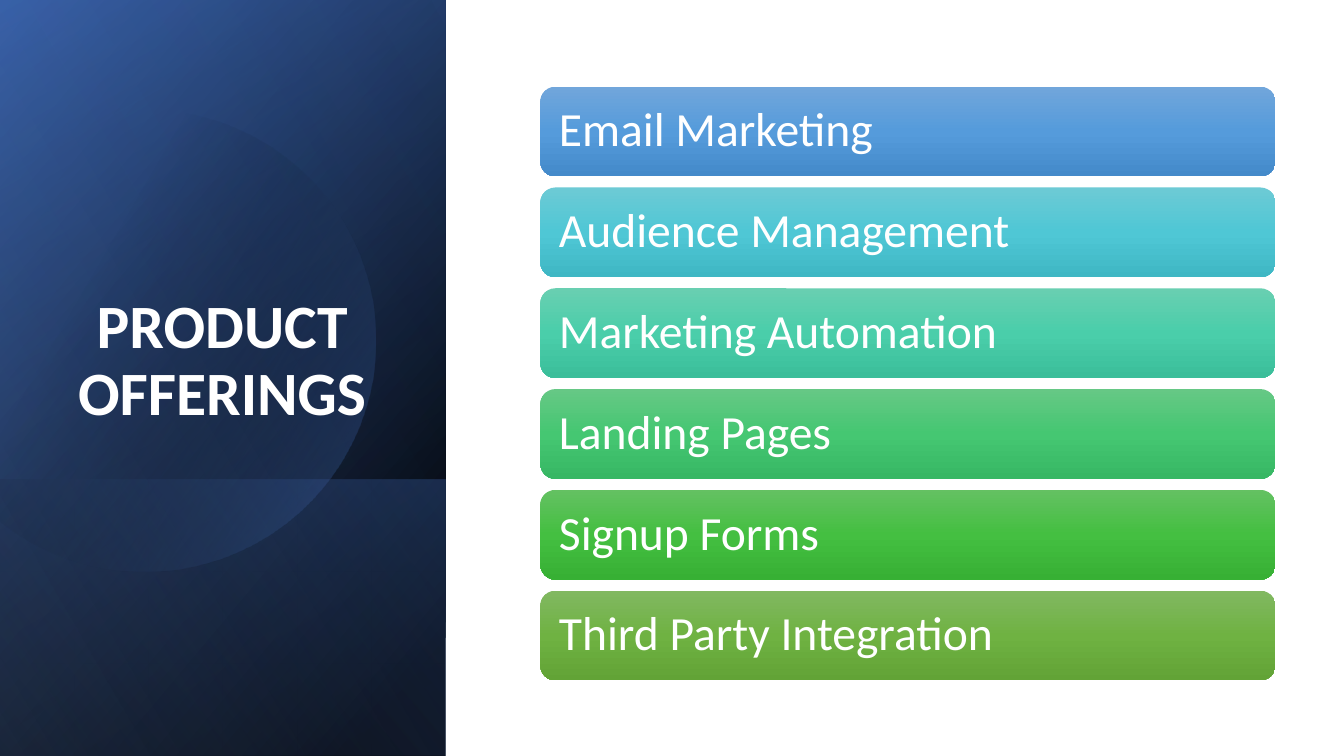
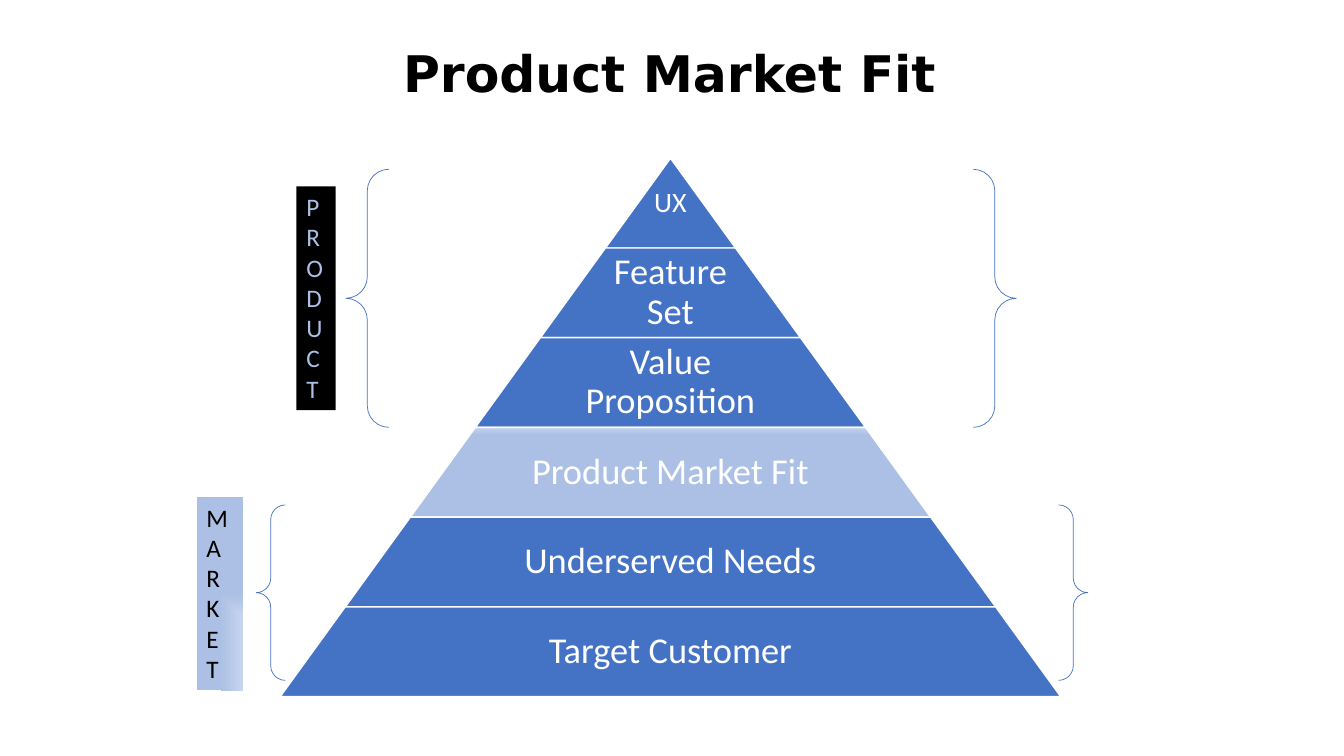
from math import acos, cos, pi, sin

from pptx import Presentation
from pptx.dml.color import RGBColor
from pptx.enum.shapes import MSO_SHAPE as Preset
from pptx.enum.text import MSO_ANCHOR as Anchor, PP_ALIGN as Align
from pptx.oxml import parse_xml
from pptx.oxml.ns import nsdecls, qn
from pptx.util import Inches, Pt

WHITE = RGBColor(0xFF, 0xFF, 0xFF)
BLACK = RGBColor(0x00, 0x00, 0x00)
BLUE = RGBColor(0x44, 0x72, 0xC4)
DARK_BLUE = RGBColor(0x2F, 0x55, 0x97)
SOFT_BLUE = RGBColor(0x8F, 0xAA, 0xDC)
LIGHT_BLUE = RGBColor(0xAB, 0xC0, 0xE4)
PALE_BLUE = RGBColor(0xC7, 0xD5, 0xED)
BODY_FONT = "Calibri"
TITLE_FONT = "DejaVu Sans"

# Slide 1: each gradient stop is (position %, colour, opacity %)
PANEL_WIDTH = 4.42
# top, height, gradient angle, stops
BASE_LAYERS = [
    (0, 7.5, 50, [(8, BLACK, 100), (100, DARK_BLUE, 100)]),
    (0, 7.5, 30, [(0, BLACK, 0), (99, BLUE, 46)]),
    (4.76, 2.74, 130, [(2, BLUE, 29), (100, BLACK, 30)]),
]
TOP_LAYERS = [(0, 7.5, 120, [(0, BLACK, 0), (99, SOFT_BLUE, 11)])]
CIRCLE_X, CIRCLE_Y, CIRCLE_RADIUS = 1.43, 3.38, 2.29
CIRCLE_STOPS = [(29, BLACK, 0), (100, BLUE, 43)]
OFFERINGS = [
    ("Email Marketing", ("71A6DB", "559BDB", "448ACA")),
    ("Audience Management", ("6DCAD5", "4FC7D5", "3FB7C4")),
    ("Marketing Automation", ("69CFB1", "4ACEAA", "3BBE9A")),
    ("Landing Pages", ("66C885", "45C772", "37B764")),
    ("Signup Forms", ("64C162", "44BF41", "37B034")),
    ("Third Party Integration", ("81B861", "6FB242", "62A336")),
]

# Slide 2
TIERS = ["UX", "Feature Set", "Value Proposition", "Product Market Fit",
         "Underserved Needs", "Target Customer"]
HIGHLIGHTED_TIER = "Product Market Fit"
PYRAMID_CENTER, PYRAMID_TOP = 6.65, 1.57
TIER_HEIGHT, TIER_GROWTH = 0.89, 1.29
BRACES = [(3.43, 1.68, 6.65, 2.56), (2.54, 5.01, 8.25, 1.74)]
PRODUCT_BOX = (2.94, 1.85, 0.39, 2.22)
MARKET_BOX = (1.95, 4.93, 0.46, 1.92)


def write_text(shape, *lines, size, color=WHITE, font=BODY_FONT, bold=False,
               align=Align.LEFT, anchor=Anchor.MIDDLE, insets=(0.1, 0.05), spacing=0.9):
    """Write one paragraph per line; insets are (sides, top and bottom)."""
    frame = shape.text_frame
    frame.word_wrap = True
    frame.vertical_anchor = anchor
    frame.margin_left = frame.margin_right = Inches(insets[0])
    frame.margin_top = frame.margin_bottom = Inches(insets[1])
    for index, line in enumerate(lines):
        paragraph = frame.add_paragraph() if index else frame.paragraphs[0]
        paragraph.alignment = align
        paragraph.line_spacing = spacing
        run = paragraph.add_run()
        run.text = line
        run.font.size = Pt(size)
        run.font.name = font
        run.font.bold = bold
        run.font.color.rgb = color


def add_text(slide, box, text, **text_format):
    write_text(slide.shapes.add_textbox(*map(Inches, box)), text, **text_format)


def fill_gradient(shape, stops, angle=None):
    """Fill along an angle in degrees, or from the bottom right corner without one."""
    stop_xml = "".join(
        f'<a:gs pos="{position * 1000}"><a:srgbClr val="{color}">'
        f'<a:alpha val="{opacity * 1000}"/></a:srgbClr></a:gs>'
        for position, color, opacity in stops)
    if angle is None:
        direction = '<a:path path="rect"><a:fillToRect l="100000" t="100000"/></a:path>'
    else:
        direction = f'<a:lin ang="{angle * 60000}" scaled="0"/>'
    shape.fill.background()
    properties = shape.element.spPr
    properties.replace(properties.find(qn("a:noFill")), parse_xml(
        f'<a:gradFill {nsdecls("a")} rotWithShape="1">'
        f'<a:gsLst>{stop_xml}</a:gsLst>{direction}</a:gradFill>'))


def style_shape(shape, fill=None, line=None, line_width=1):
    shape.shadow.inherit = False
    if fill is None:
        shape.fill.background()
    else:
        shape.fill.solid()
        shape.fill.fore_color.rgb = fill
    if line is None:
        shape.line.fill.background()
    else:
        shape.line.color.rgb = line
        shape.line.width = Pt(line_width)
    return shape


def add_preset(slide, preset, box, **style):
    return style_shape(slide.shapes.add_shape(preset, *map(Inches, box)), **style)


def add_panel_layers(slide, layers):
    """Stack mirrored rectangles, turned a quarter so their gradients turn too."""
    for top, height, angle, stops in layers:
        box = ((PANEL_WIDTH - height) / 2, top + (height - PANEL_WIDTH) / 2,
               height, PANEL_WIDTH)
        layer = add_preset(slide, Preset.RECTANGLE, box)
        layer.rotation = 90
        layer.element.spPr.find(qn("a:xfrm")).set("flipH", "1")
        fill_gradient(layer, stops, angle)


def add_cut_circle(slide):
    """Draw the circle up to the left edge of the slide."""
    limit = acos(-CIRCLE_X / CIRCLE_RADIUS)
    steps = round(limit / pi * 180)
    angles = [limit * (2 * step / steps - 1) for step in range(steps + 1)]
    points = [(Inches(CIRCLE_X + CIRCLE_RADIUS * cos(angle)),
               Inches(CIRCLE_Y + CIRCLE_RADIUS * sin(angle))) for angle in angles]
    builder = slide.shapes.build_freeform(*points[0])
    builder.add_line_segments(points[1:], close=True)
    fill_gradient(style_shape(builder.convert_to_shape()), CIRCLE_STOPS, 30)


def build_offerings(slide):
    add_panel_layers(slide, BASE_LAYERS)
    add_cut_circle(slide)
    add_panel_layers(slide, TOP_LAYERS)
    add_text(slide, (0.5, 1.68, 3.41, 2.62), "PRODUCT OFFERINGS", size=44,
             bold=True, align=Align.CENTER, anchor=Anchor.BOTTOM)
    for index, (name, colors) in enumerate(OFFERINGS):
        bar = add_preset(slide, Preset.ROUNDED_RECTANGLE, (5.36, 0.86 + index, 7.29, 0.89))
        fill_gradient(bar, [(position, color, 100)
                            for position, color in zip((0, 50, 100), colors)], 90)
        write_text(bar, name, size=34, insets=(0.14, 0.14))


def add_pyramid(slide):
    for index, name in enumerate(TIERS):
        width = TIER_GROWTH * (index + 1)
        top = PYRAMID_TOP + TIER_HEIGHT * index
        tier = add_preset(slide, Preset.TRAPEZOID,
                          (PYRAMID_CENTER - width / 2, top, width, TIER_HEIGHT),
                          fill=BLUE, line=WHITE)
        tier.adjustments[0] = TIER_GROWTH / 2 / TIER_HEIGHT
        if name == HIGHLIGHTED_TIER:
            fill_gradient(tier, [(0, PALE_BLUE, 100), (8, LIGHT_BLUE, 100)], 90)
        text_width = width * 0.65
        add_text(slide, (PYRAMID_CENTER - text_width / 2, top, text_width, TIER_HEIGHT),
                 name, size=26 if index else 20, align=Align.CENTER, insets=(0.04, 0.04))


def build_market_fit(slide):
    add_text(slide, (0.89, 0.03, 11.5, 1.45), "Product Market Fit", size=36,
             color=BLACK, font=TITLE_FONT, bold=True, align=Align.CENTER)
    add_pyramid(slide)
    for box in BRACES:
        add_preset(slide, Preset.DOUBLE_BRACE, box, line=BLUE, line_width=0.5)
    product = add_preset(slide, Preset.RECTANGLE, PRODUCT_BOX, fill=BLACK)
    market = add_preset(slide, Preset.RECTANGLE, MARKET_BOX)
    fill_gradient(market, [(0, PALE_BLUE, 100), (100, LIGHT_BLUE, 100)])
    for label, word, color in ((product, "PRODUCT", LIGHT_BLUE), (market, "MARKET", BLACK)):
        write_text(label, *word, size=18, color=color, anchor=Anchor.TOP, spacing=1.0)


def main():
    presentation = Presentation()
    presentation.slide_width = Inches(13.33)
    presentation.slide_height = Inches(7.5)
    for build in (build_offerings, build_market_fit):
        build(presentation.slides.add_slide(presentation.slide_layouts[6]))
    presentation.save("out.pptx")


if __name__ == "__main__":
    main()
